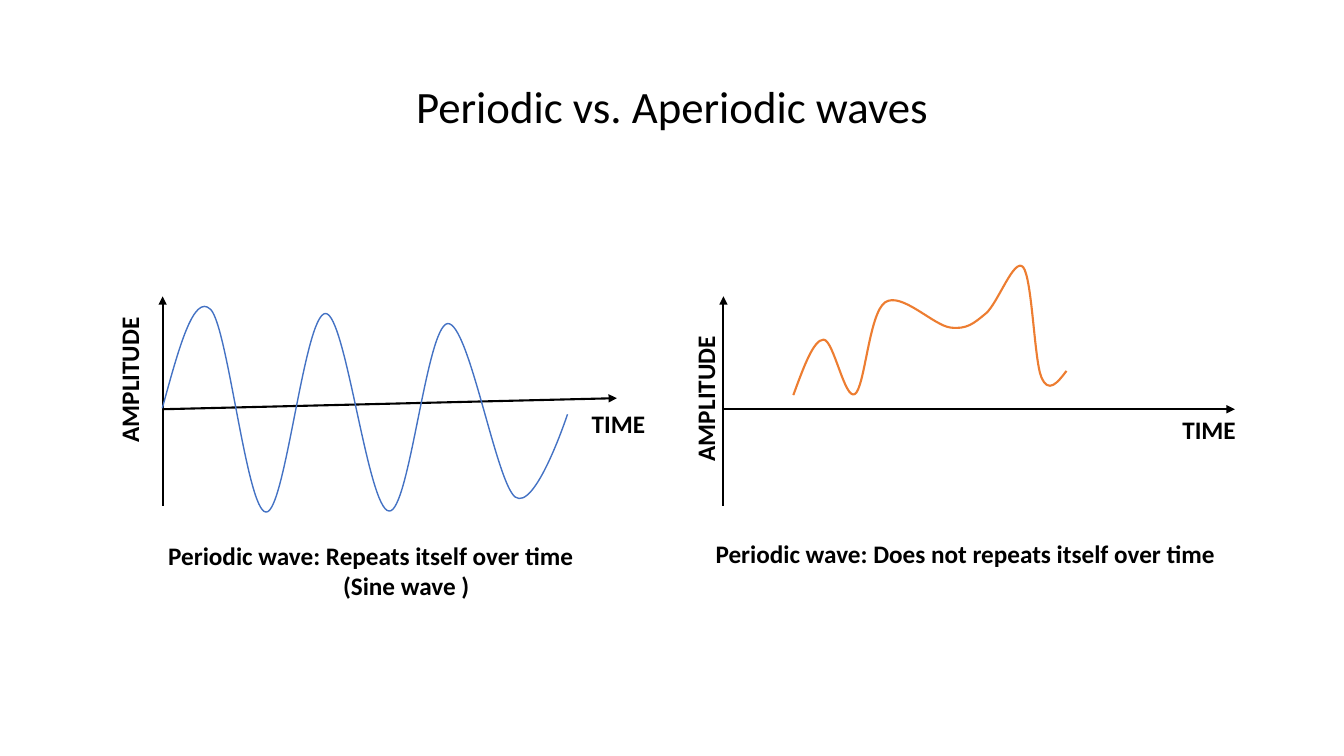
"""Build a slide that contrasts a periodic and an aperiodic wave."""
from dataclasses import dataclass

import lxml.etree
import pptx
import pptx.dml.color
import pptx.enum.shapes
import pptx.enum.text
import pptx.oxml.ns
import pptx.shapes.shapetree
import pptx.text.text
import pptx.util

Point = tuple[float, float]
Area = tuple[float, float, float, float]
Shapes = pptx.shapes.shapetree.SlideShapes | pptx.shapes.shapetree.GroupShapes

SLIDE_WIDTH = pptx.util.Inches(13.333)
SLIDE_HEIGHT = pptx.util.Inches(7.5)
COLUMN = SLIDE_WIDTH / 133.33
ROW = SLIDE_HEIGHT / 75
FONT = "Calibri"
COLORS = {"ink": "000000", "periodic": "4472C4", "aperiodic": "ED7D31"}
LEFT = pptx.enum.text.PP_ALIGN.LEFT
CENTER = pptx.enum.text.PP_ALIGN.CENTER


@dataclass
class Label:
    text: str
    area: Area
    alignments: tuple[pptx.enum.text.PP_ALIGN, ...] = (CENTER,)
    rotation: float = 0


@dataclass
class Wave:
    color: str
    weight: float
    start: Point
    curves: list[tuple[Point, Point, Point]]


@dataclass
class Graph:
    axis_left: float
    time_end: Point
    labels: list[Label]
    wave: Wave


GRAPHS = [
    Graph(
        16.13, (61.2, 39.5),
        [Label("TIME", (46.8, 40.05, 29.1, 4)),
         Label("AMPLITUDE", (-4.1, 35.95, 33.3, 3.5), rotation=270)],
        Wave("periodic", 1, (16.1, 40.5), [
            ((17.7, 34.7), (19.2, 29), (20.9, 30.7)),
            ((22.6, 32.4), (24.5, 50.8), (26.4, 50.8)),
            ((28.3, 50.9), (30.2, 31.1), (32.3, 31.1)),
            ((34.3, 31.1), (36.5, 50.6), (38.6, 50.7)),
            ((40.6, 50.9), (42.3, 32.4), (44.4, 32.1)),
            ((46.5, 31.9), (49.2, 47.8), (51.1, 49.3)),
            ((53.1, 50.8), (56.3, 41.1), (56.3, 41.1)),
        ]),
    ),
    Graph(
        71.77, (122.5, 40.6),
        [Label("TIME", (103.3, 40.6, 33.3, 4)),
         Label("AMPLITUDE", (53.3, 37.55, 33.3, 4), rotation=270)],
        Wave("aperiodic", 1.5, (78.7, 39.2), [
            ((79.7, 36.5), (80.7, 33.7), (81.7, 33.7)),
            ((82.7, 33.7), (83.8, 39.7), (84.8, 39.1)),
            ((85.8, 38.5), (86.2, 31.1), (87.8, 30)),
            ((89.4, 28.9), (92.6, 32.3), (94.3, 32.5)),
            ((95.9, 32.7), (96.6, 32.1), (97.8, 31.1)),
            ((99, 30.1), (100.6, 25.5), (101.5, 26.5)),
            ((102.4, 27.6), (102.6, 35.7), (103.3, 37.4)),
            ((104, 39.1), (104.9, 38), (105.8, 36.8)),
        ]),
    ),
]
CAPTIONS = [
    Label("Periodic wave: Repeats itself over time\n(Sine wave )",
          (15.7, 53.1, 49.2, 7.1), (LEFT, CENTER)),
    Label("Periodic wave: Does not repeats itself over time",
          (70, 52.9, 51.8, 4), (LEFT,)),
]


def color_of(name: str) -> pptx.dml.color.RGBColor:
    return pptx.dml.color.RGBColor.from_string(COLORS[name])


def place(x: float, y: float) -> tuple[int, int]:
    return round(x * COLUMN), round(y * ROW)


def format_paragraph(para: pptx.text.text._Paragraph, size: float, bold: bool,
                     alignment: pptx.enum.text.PP_ALIGN) -> None:
    para.alignment = alignment
    for span in para.runs:
        span.font.name = FONT
        span.font.size = pptx.util.Pt(size)
        span.font.bold = bold
        span.font.color.rgb = color_of("ink")


def draw_label(shapes: Shapes, label: Label) -> None:
    left, top, width, height = label.area
    box = shapes.add_textbox(*place(left, top), *place(width, height))
    box.rotation = label.rotation
    frame = box.text_frame
    frame.word_wrap = True
    frame.text = label.text
    for para, alignment in zip(frame.paragraphs, label.alignments):
        format_paragraph(para, 18, True, alignment)


def draw_axis(shapes: Shapes, start: Point, end: Point) -> None:
    axis = shapes.add_connector(pptx.enum.shapes.MSO_CONNECTOR.STRAIGHT,
                                *place(*start), *place(*end))
    axis.line.color.rgb = color_of("ink")
    axis.line.width = pptx.util.Pt(1.5)
    properties = axis._element.spPr
    outline = properties.find(pptx.oxml.ns.qn("a:ln"))
    lxml.etree.SubElement(outline, pptx.oxml.ns.qn("a:tailEnd"), type="triangle")
    lxml.etree.SubElement(properties, pptx.oxml.ns.qn("a:effectLst"))


def draw_wave(shapes: Shapes, wave: Wave) -> None:
    builder = shapes.build_freeform(*place(*wave.start))
    builder.add_line_segments([place(*curve[-1]) for curve in wave.curves], close=False)
    outline = builder.convert_to_shape()
    outline.shadow.inherit = False
    outline.fill.background()
    outline.line.color.rgb = color_of(wave.color)
    outline.line.width = pptx.util.Pt(wave.weight)
    segments = list(outline._element.iter(pptx.oxml.ns.qn("a:lnTo")))
    for segment, curve in zip(segments, wave.curves):
        segment.tag = pptx.oxml.ns.qn("a:cubicBezTo")
        for index, control in enumerate(curve[:2]):
            x, y = place(*control)
            handle = lxml.etree.Element(pptx.oxml.ns.qn("a:pt"),
                                        x=str(x - outline.left), y=str(y - outline.top))
            segment.insert(index, handle)


def draw_graph(shapes: Shapes, graph: Graph) -> None:
    draw_axis(shapes, (graph.axis_left, 50.2), (graph.axis_left, 29.4))
    draw_axis(shapes, (graph.axis_left, 40.6), graph.time_end)
    for label in graph.labels:
        draw_label(shapes, label)
    draw_wave(shapes, graph.wave)


def main() -> None:
    deck = pptx.Presentation()
    deck.slide_width, deck.slide_height = SLIDE_WIDTH, SLIDE_HEIGHT
    slide = deck.slides.add_slide(deck.slide_layouts.get_by_name("Title Only"))
    title = slide.shapes.title
    title.left, title.top = place(9.2, 7.1)
    title.width, title.height = place(115, 7.5)
    frame = title.text_frame
    frame.text = "Periodic vs. Aperiodic waves"
    frame.auto_size = pptx.enum.text.MSO_AUTO_SIZE.NONE
    frame.vertical_anchor = pptx.enum.text.MSO_ANCHOR.MIDDLE
    frame.paragraphs[0].line_spacing = 0.9
    format_paragraph(frame.paragraphs[0], 32, False, CENTER)
    for graph in GRAPHS:
        draw_graph(slide.shapes.add_group_shape().shapes, graph)
    for caption in CAPTIONS:
        draw_label(slide.shapes, caption)
    deck.save("out.pptx")


if __name__ == "__main__":
    main()
